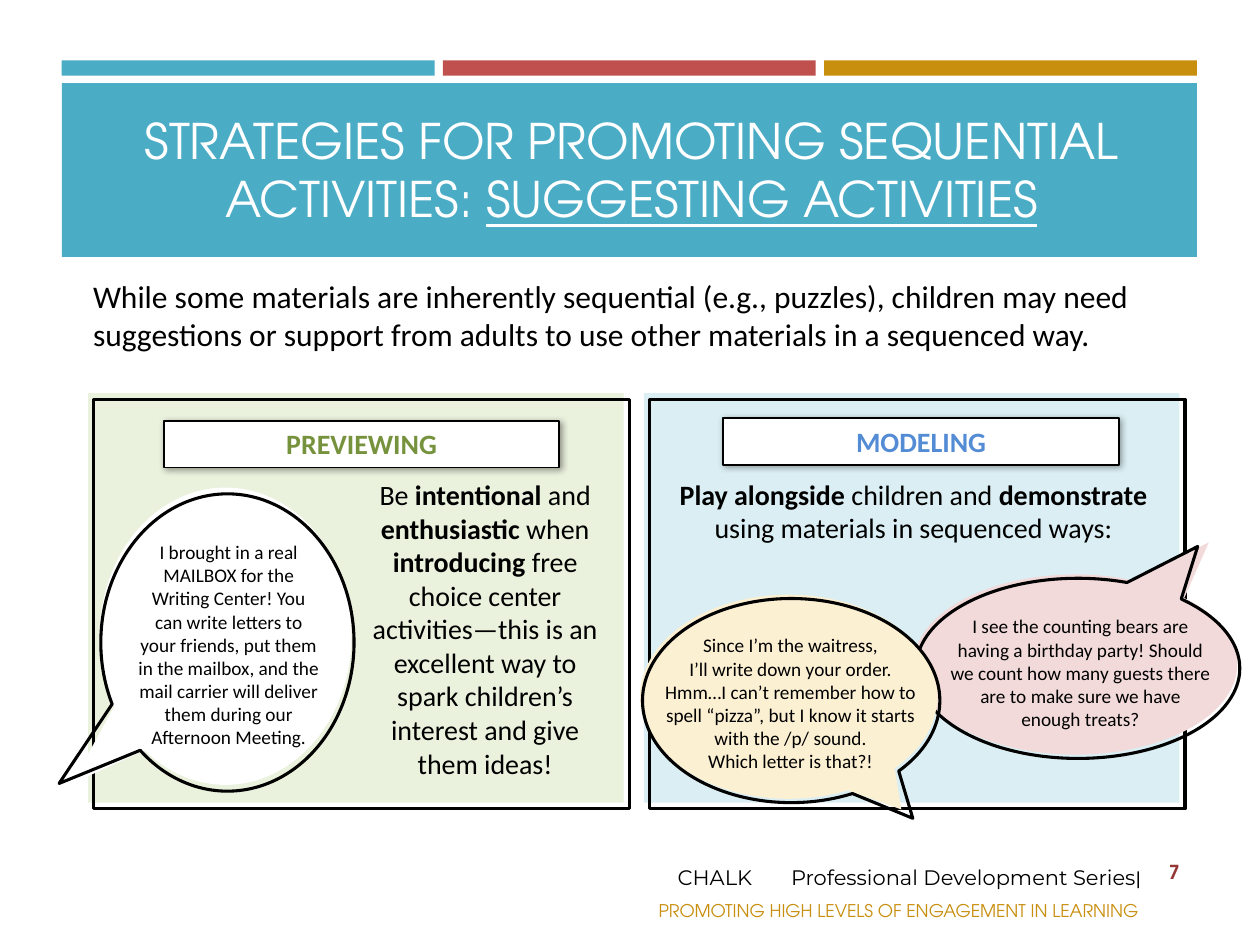
from lxml import etree
from pptx import Presentation
from pptx import util as u
from pptx.dml.color import RGBColor
from pptx.enum import shapes, text
from pptx.oxml import parse_xml
from pptx.oxml.ns import nsdecls, qn

HEADING, BODY, FOOTER = "TeX Gyre Adventor", "Calibri", "Montserrat"
TEAL, RED, GOLD, BLACK, WHITE = "4BACC6", "C0504D", "C88E0E", "000000", "FFFFFF"
RECT = shapes.MSO_SHAPE.RECTANGLE
CALLOUT = shapes.MSO_SHAPE.OVAL_CALLOUT
CENTER, LEFT = text.PP_ALIGN.CENTER, text.PP_ALIGN.LEFT
TOP, MIDDLE = text.MSO_ANCHOR.TOP, text.MSO_ANCHOR.MIDDLE

deck = Presentation()
deck.slide_width, deck.slide_height = u.Inches(10), u.Inches(7.5)
page = deck.slides.add_slide(deck.slide_layouts[6])


def add_shape(kind, place, fill=None, line=None, tip=()):
    """Draw a preset shape; line is a width in points, tip a callout's target."""
    shape = page.shapes.add_shape(kind, *map(u.Inches, place))
    shape.shadow.inherit = False
    for index, value in enumerate(tip):
        shape.adjustments[index] = value
    if fill:
        shape.fill.solid()
        shape.fill.fore_color.rgb = RGBColor.from_string(fill)
    else:
        shape.fill.background()
    if line:
        shape.line.width = u.Pt(line)
        shape.line.color.rgb = RGBColor.from_string(BLACK)
    else:
        shape.line.fill.background()
    return shape


def write(paragraphs, size, place=None, box=None, font=BODY, color=BLACK,
          align=CENTER, anchor=TOP):
    """Fill box, or a new text box at place; *stars* enclose emphasised words."""
    box = box or page.shapes.add_textbox(*map(u.Inches, place))
    frame = box.text_frame
    frame.word_wrap = True
    frame.vertical_anchor = anchor
    emphasised = []
    for index, content in enumerate(paragraphs):
        para = frame.paragraphs[0] if index == 0 else frame.add_paragraph()
        para.alignment = align
        for number, part in enumerate(content.split("*")):
            if not part:
                continue
            span = para.add_run()
            span.text = part
            span.font.name, span.font.size = font, u.Pt(size)
            span.font.color.rgb = RGBColor.from_string(color)
            if number % 2:
                span.font.bold = True
                emphasised.append(span)
    return frame, emphasised


# Header bars and title
for index, color in enumerate((TEAL, RED, GOLD)):
    add_shape(RECT, (0.49 + index * 3.025, 0.48, 2.96, 0.12), color)
add_shape(RECT, (0.49, 0.66, 9.01, 1.38), TEAL)
frame, emphasised = write(
    ["STRATEGIES FOR PROMOTING SEQUENTIAL ACTIVITIES: *SUGGESTING ACTIVITIES*"],
    28, (0.64, 0.75, 8.74, 1.18), font=HEADING, color=WHITE, anchor=MIDDLE)
for span in emphasised:
    span.font.bold, span.font.underline = False, True

# Footer
write(["*7*"], 11, (9.06, 6.72, 0.52, 0.4), font=HEADING, color="953734",
      anchor=MIDDLE)
frame, emphasised = write(["CHALK\tProfessional Development Series*|*"], 12,
                          (5.28, 6.78, 4.3, 0.37), font=FOOTER, align=LEFT,
                          anchor=MIDDLE)
emphasised[0].font.name, emphasised[0].font.bold = HEADING, False
tabs = etree.SubElement(frame.paragraphs[0]._p.get_or_add_pPr(), qn("a:tabLst"))
etree.SubElement(tabs, qn("a:tab"), pos=str(u.Inches(0.9)), algn="l")
write(["PROMOTING HIGH LEVELS OF ENGAGEMENT IN LEARNING"], 10,
      (5.09, 7.09, 4.08, 0.27), font=HEADING, color=GOLD)

# Introduction
write(["While some materials are inherently sequential (e.g., puzzles), children "
       "may need suggestions or support from adults to use other materials in a "
       "sequenced way."], 18, (0.64, 2.15, 8.74, 0.9), align=LEFT)

# Two panels, each with an offset outline, a label and a description
panels = [
    (0.7, "EAF1DD", "*PREVIEWING*", "76923C", (1.3, 3.34), (2.79, 3.74, 2.12, 2.52),
     "Be *intentional* and *enthusiastic* when *introducing* free choice center "
     "activities—this is an excellent way to spark children’s interest and give "
     "them ideas!"),
    (5.11, "DAEEF3", "*MODELING*", "538CD5", (5.74, 3.32), (5.11, 3.74, 4.28, 0.64),
     "*Play alongside* children and *demonstrate* using materials in sequenced "
     "ways:"),
]
for left, fill, label, color, corner, place, description in panels:
    add_shape(RECT, (left, 3.12, 4.25, 3.25), fill)
    add_shape(RECT, (left + 0.045, 3.17, 4.25, 3.25), line=1.75)
    write([description], 16, place)
    plate = add_shape(RECT, (*corner, 3.14, 0.37), WHITE, 1)
    write([label], 16, box=plate, color=color)
    effects = plate._element.spPr.find(qn("a:effectLst"))
    effects.append(parse_xml(
        f'<a:outerShdw {nsdecls("a")} blurRad="{u.Pt(4)}" dist="{u.Pt(1)}" '
        'dir="2700000" algn="tl" rotWithShape="0"><a:srgbClr val="000000">'
        '<a:alpha val="40000"/></a:srgbClr></a:outerShdw>'))

# Speech bubbles: fill, its tip, outline, its tip, words
bubbles = [
    ("F2DADA", (7.25, 4.56, 2.57, 1.43), (0.412, -0.678),
     (7.27, 4.59, 2.57, 1.43), (0.37, -0.677), (7.43, 4.83, 2.29, 1.03),
     ["I see the counting bears are having a birthday party! Should we count how "
      "many guests there are to make sure we have enough treats?"]),
    ("FCF0D3", (5.08, 4.72, 2.36, 1.62), (0.379, 0.552),
     (5.1, 4.75, 2.36, 1.62), (0.409, 0.577), (5.17, 4.98, 2.21, 1.21),
     ["Since I’m the waitress,", "I’ll write down your order.",
      "Hmm…I can’t remember how to spell “pizza”, but I know it starts with the "
      "/p/ sound.", "Which letter is that?!"]),
    (WHITE, (0.79, 3.87, 2, 2.36), (-0.609, 0.495),
     (0.8, 3.92, 2.01, 2.36), (-0.665, 0.474), (0.99, 4.24, 1.65, 1.77),
     ["I brought in a real MAILBOX for the Writing Center! You can write letters "
      "to your friends, put them in the mailbox, and the mail carrier will "
      "deliver them during our Afternoon Meeting."]),
]
for fill, body, body_tip, outline, outline_tip, place, words in bubbles:
    add_shape(CALLOUT, body, fill, tip=body_tip)
    add_shape(CALLOUT, outline, line=1.75, tip=outline_tip)
    write(words, 11, place)

deck.save("out.pptx")
